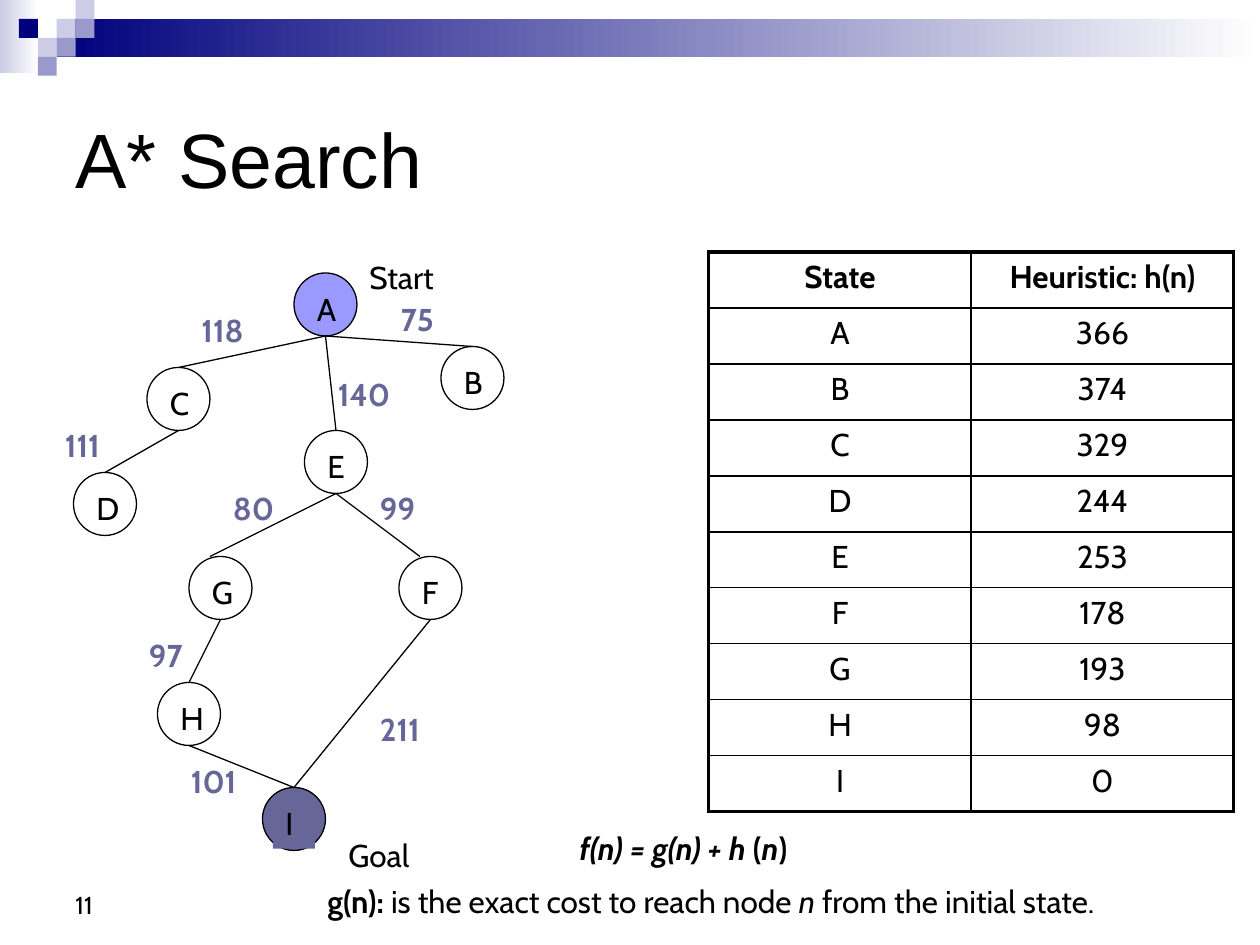
from lxml import etree
from pptx import Presentation
from pptx import util as u
from pptx.dml import color
from pptx.enum import shapes, text
from pptx.oxml import ns

BLACK, SLATE, NAVY = "000000", "666699", "00007D"
PALE, LILAC, WHITE = "CCCCE6", "9999CC", "FFFFFF"
FONT = "Cabin"
SIDE = 36
GRID = 10.8

NODES = {
    "A": (168, 156), "B": (252, 198), "C": (84, 210),
    "D": (42, 270), "E": (174, 246), "F": (228, 318),
    "G": (108, 318), "H": (90, 390), "I": (150, 450),
}
FILLS = {"A": "9999FF", "I": SLATE}
EDGES = [
    ("A", "B", 0), ("A", "C", 0), ("A", "E", 0), ("C", "D", 0),
    ("E", "F", -6), ("E", "G", -6), ("G", "H", 0), ("F", "I", 0),
    ("H", "I", 0),
]
COSTS = [
    ("118", 108, 174), ("75", 222, 168), ("140", 186, 211),
    ("111", 30, 240), ("80", 126, 276), ("99", 210, 276),
    ("97", 78, 360), ("211", 210, 402), ("101", 102, 432),
]
ROWS = [
    ("State", "Heuristic: h(n)"), ("A", "366"), ("B", "374"),
    ("C", "329"), ("D", "244"), ("E", "253"), ("F", "178"),
    ("G", "193"), ("H", "98"), ("I", "0"),
]
SQUARES = [
    (3, 1, PALE), (4, 0, PALE), (4, 1, LILAC), (2, 2, PALE),
    (1, 1, NAVY), (3, 2, LILAC), (2, 3, LILAC),
]
NOTES = [
    [("f(n) = g(n) + h ", True, True), ("(", True, False),
     ("n", True, True), (")", True, False)],
    [("g(n): ", True, False),
     ("is the exact cost to reach node ", False, False),
     ("n", False, True), (" from the initial state.", False, False)],
]


def rgb(code):
    return color.RGBColor.from_string(code)


def style(para, size=18, tint=BLACK, bold=False, name=FONT):
    font = para.font
    font.name, font.size, font.bold = name, u.Pt(size), bold
    font.color.rgb = rgb(tint)


def form(slide, kind, box, fill=None, line=None):
    item = slide.shapes.add_shape(kind, *map(u.Pt, box))
    item.shadow.inherit = False
    if fill:
        item.fill.solid()
        item.fill.fore_color.rgb = rgb(fill)
    else:
        item.fill.background()
    if line:
        item.line.color.rgb = rgb(line)
        item.line.width = u.Pt(0.75)
    else:
        item.line.fill.background()
    return item


def fade(slide, box, start):
    item = form(slide, shapes.MSO_SHAPE.RECTANGLE, box)
    item.fill.gradient()
    item.fill.gradient_angle = 0
    for stop, tint in zip(item.fill.gradient_stops, (start, WHITE)):
        stop.color.rgb = rgb(tint)


def frame(slide, box):
    item = slide.shapes.add_textbox(*map(u.Pt, box))
    item.text_frame.word_wrap = True
    return item


def label(slide, words, box, **look):
    item = frame(slide, box)
    para = item.text_frame.paragraphs[0]
    para.text = words
    style(para, **look)
    return item


def header(slide):
    fade(slide, (0, 0, 22, 42), PALE)
    fade(slide, (3 * GRID, GRID, 720 - 3 * GRID, 2 * GRID), NAVY)
    for col, row, tint in SQUARES:
        form(slide, shapes.MSO_SHAPE.RECTANGLE,
             (col * GRID, row * GRID, GRID, GRID), tint)


def title(slide):
    item = slide.shapes.title
    item.left, item.top, item.width, item.height = map(u.Pt, (36, 36, 648, 108))
    item.text_frame.text = "A* Search"
    item.text_frame.vertical_anchor = text.MSO_ANCHOR.MIDDLE
    para = item.text_frame.paragraphs[0]
    para.alignment = text.PP_ALIGN.LEFT
    style(para, size=44, name="Arial")


def node(slide, name):
    x, y = NODES[name]
    form(slide, shapes.MSO_SHAPE.OVAL, (x, y, SIDE, SIDE), FILLS.get(name), BLACK)
    item = label(slide, name, (x + 6, y + 6, 24, 29))
    if name == "I":
        item.fill.solid()
        item.fill.fore_color.rgb = rgb(SLATE)


def edge(slide, start, end, shift):
    (x, y), (p, q) = NODES[start], NODES[end]
    half = SIDE / 2
    ends = (x + half, y + SIDE, p + half + shift, q)
    item = slide.shapes.add_connector(
        shapes.MSO_CONNECTOR.STRAIGHT, *map(u.Pt, ends))
    item.line.color.rgb = rgb(BLACK)
    item.line.width = u.Pt(0.75)
    etree.SubElement(item._element.spPr, ns.qn("a:effectLst"))


def border(cell, side, width):
    props = cell._tc.get_or_add_tcPr()
    line = etree.SubElement(props, ns.qn("a:ln" + side), w=str(u.Pt(width)))
    fill = etree.SubElement(line, ns.qn("a:solidFill"))
    etree.SubElement(fill, ns.qn("a:srgbClr"), val=BLACK)


def table(slide):
    count = len(ROWS)
    grid = slide.shapes.add_table(
        count, 2, *map(u.Pt, (405, 144, 300, 32 * count))).table
    grid.horz_banding = False
    for r, row in enumerate(ROWS):
        for c, words in enumerate(row):
            cell = grid.cell(r, c)
            outer = {"L": c == 0, "R": c == 1, "T": r == 0, "B": r == count - 1}
            for side, thick in outer.items():
                border(cell, side, 2.25 if thick else 1)
            cell.fill.background()
            cell.text = words
            para = cell.text_frame.paragraphs[0]
            para.alignment = text.PP_ALIGN.CENTER
            style(para, bold=r == 0)


def notes(slide):
    body = frame(slide, (180, 470, 522, 94)).text_frame
    first, last = body.paragraphs[0], body.add_paragraph()
    for para, parts in zip((first, last), NOTES):
        style(para)
        for words, bold, slant in parts:
            run = para.add_run()
            run.text = words
            run.font.bold, run.font.italic = bold, slant
    first._p.get_or_add_pPr().set("marL", str(u.Pt(144)))
    last.space_before = u.Pt(9)


def main():
    deck = Presentation()
    deck.slide_width, deck.slide_height = u.Pt(720), u.Pt(540)
    slide = deck.slides.add_slide(deck.slide_layouts[5])
    header(slide)
    title(slide)
    page = label(slide, "11", (36, 492, 168, 37), size=14)
    page.text_frame.vertical_anchor = text.MSO_ANCHOR.BOTTOM
    notes(slide)
    table(slide)
    for name in NODES:
        node(slide, name)
    for link in EDGES:
        edge(slide, *link)
    for words, x, y in COSTS:
        label(slide, words, (x, y, 60, 29), tint=SLATE, bold=True)
    label(slide, "Start", (204, 144, 96, 29))
    label(slide, "Goal", (192, 474, 96, 29))
    deck.save("out.pptx")


if __name__ == "__main__":
    main()
